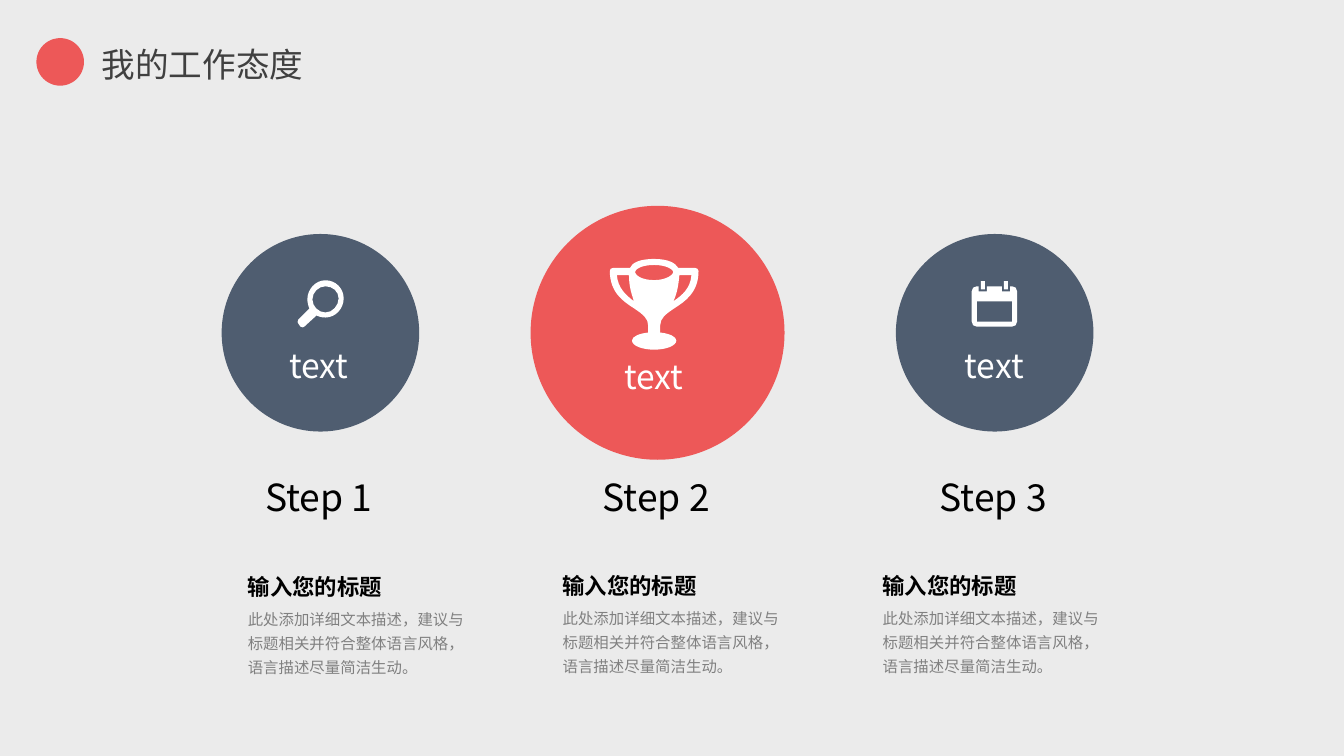
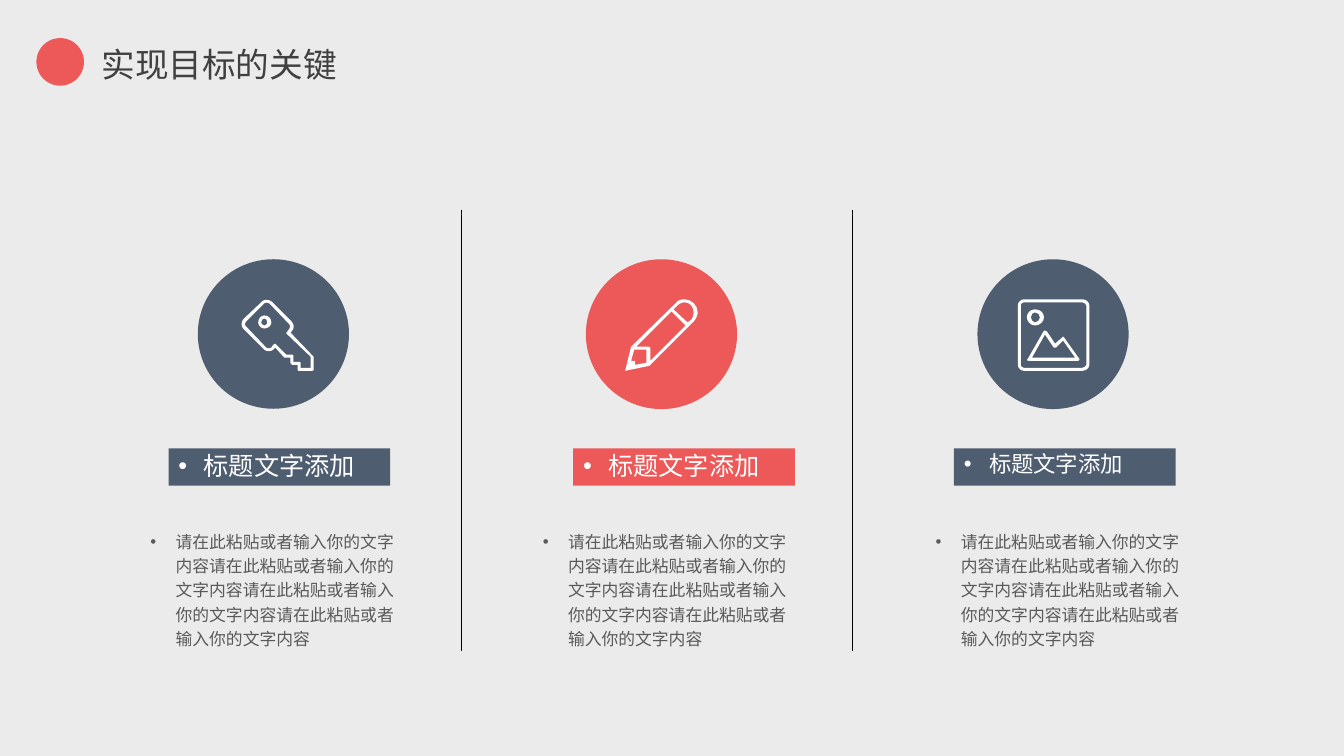
import pptx
import pptx.dml.color
import pptx.enum.shapes
import pptx.enum.text
import pptx.oxml.ns
import pptx.util
from dataclasses import dataclass
from lxml import etree

Pt = pptx.util.Pt
SHAPE = pptx.enum.shapes.MSO_SHAPE
ALIGN = pptx.enum.text.PP_ALIGN
ANCHOR = pptx.enum.text.MSO_ANCHOR
qn = pptx.oxml.ns.qn


@dataclass(frozen=True)
class Theme:
    font: str = "Noto Sans CJK SC"
    page: str = "EBEBEB"
    red: str = "ED5858"
    slate: str = "4F5D70"
    white: str = "FFFFFF"
    black: str = "000000"
    title: str = "404040"
    body: str = "595959"
    muted: str = "808080"
    title_size: float = 24
    step_size: float = 26.6
    heading_size: float = 16
    caption_size: float = 11
    body_size: float = 12
    icon_unit: float = 0.72


T = Theme()

# Icon outlines: M move, L lines, C curves, Z close.
MAGNIFIER = """M 1 43 C 3 46 3 46 3 46 5 47 6 47 7 46 L 19 35 C 21 36 24 37 28 37
 38 37 46 28 46 18 46 8 38 0 28 0 18 0 10 9 10 19 10 22 11 26 12 28
 L 1 39 C 0 41 0 42 1 43 Z
 M 28 32 C 21 32 15 26 15 19 15 12 21 6 28 6 35 6 41 11 41 18 41 25 35 32 28 32 Z"""
TROPHY = """M 50 66 C 50 59 55 55 64 49 75 42 88 33 88 12 88 10 86 9 85 9
 L 68 9 C 65 4 58 0 44 0 29 0 22 4 20 9 L 3 9 C 1 9 0 10 0 12
 0 33 13 42 24 49 33 55 38 59 38 66 L 38 73 C 29 74 22 77 22 81
 22 86 32 90 44 90 56 90 66 86 66 81 66 77 59 74 50 73 L 50 66 Z
 M 63 42 C 66 36 68 28 69 16 L 81 16 C 80 29 72 36 63 42 Z
 M 44 6 C 57 6 63 11 63 13 63 15 57 21 44 21 30 21 25 15 25 13
 25 11 30 6 44 6 Z M 7 16 L 19 16 C 19 28 22 36 24 42 16 36 8 29 7 16 Z"""
CALENDAR = """M 40 5 L 38 5 38 10 30 10 30 5 15 5 15 10 7 10 7 5 5 5
 C 2 5 0 7 0 10 L 0 40 C 0 43 2 45 5 45 L 40 45 C 43 45 45 43 45 40
 L 45 10 C 45 7 43 5 40 5 Z M 40 40 L 5 40 5 20 40 20 40 40 Z
 M 13 0 L 9 0 9 8 13 8 13 0 Z M 36 0 L 32 0 32 8 36 8 36 0 Z"""
KEY = """M 69 68 L 59 68 59 63 C 59 62 58 62 57 62 L 52 62 52 57 C 52 56 52 55 51 55
 L 45 55 35 45 C 34 45 34 44 34 44 33 44 33 45 32 45 L 30 48 C 29 49 26 49 25 48
 L 5 27 C 3 26 3 24 5 22 L 23 4 C 24 3 26 3 28 4 L 48 25 C 49 26 49 28 48 29
 L 46 32 C 45 32 45 33 45 33 45 34 45 34 45 34 L 69 57 C 69 57 69 68 69 68 Z
 M 71 56 L 49 33 50 32 C 53 29 53 25 50 22 L 30 2 C 27 0 23 0 21 2
 L 2 20 C 0 23 0 27 2 29 L 23 50 C 25 52 30 52 32 50 L 34 48 43 58
 C 43 58 44 58 44 58 L 49 58 49 63 C 49 64 50 65 51 65 L 56 65 56 70
 C 56 71 56 71 57 71 L 70 71 C 71 71 72 71 72 70 L 72 57 C 72 56 72 56 71 56 Z
 M 23 26 C 21 26 20 24 20 23 20 21 21 19 23 19 25 19 26 21 26 23 26 24 25 26 23 26 Z
 M 23 16 C 20 16 17 19 17 23 17 26 20 29 23 29 27 29 30 26 30 23 30 19 27 16 23 16 Z"""
PENCIL = """M 66 20 L 62 23 48 10 52 6 C 52 6 55 3 59 3 64 3 68 7 68 13 68 16 67 18 66 20 Z
 M 25 61 L 25 48 C 25 48 24 47 23 47 L 11 47 46 12 60 26 C 60 26 25 61 25 61 Z
 M 21 63 L 10 65 10 61 6 61 9 50 21 50 C 21 50 21 63 21 63 Z
 M 59 0 C 55 0 52 1 50 4 L 6 47 0 71 24 66 68 22 C 70 20 72 16 72 13
 72 6 66 0 59 0 Z"""
PHOTO = """M 68 65 C 68 66 66 68 64 68 L 6 68 C 4 68 3 66 3 65 L 3 6 C 3 5 4 3 6 3
 L 64 3 C 66 3 68 5 68 6 68 6 68 65 68 65 Z
 M 64 0 L 6 0 C 3 0 0 3 0 6 L 0 65 C 0 68 3 71 6 71 L 64 71
 C 68 71 71 68 71 65 L 71 6 C 71 3 68 0 64 0 Z
 M 14 58 L 27 35 35 47 C 35 48 36 48 36 48 36 48 36 48 37 48 37 48 38 48 38 48
 L 45 41 57 58 C 57 58 14 58 14 58 Z
 M 61 59 L 46 38 C 46 38 46 37 45 37 45 37 44 37 44 38 L 37 44 29 32
 C 28 31 28 31 27 31 27 31 26 31 26 31 L 10 59 C 9 59 9 59 9 60 9 61 10 61 11 61
 L 60 61 C 60 61 61 61 61 60 61 60 61 59 61 59 Z
 M 17 13 C 20 13 22 15 22 18 22 20 20 23 17 23 15 23 13 20 13 18 13 15 15 13 17 13 Z
 M 17 26 C 22 26 26 22 26 18 26 13 22 10 17 10 13 10 9 13 9 18 9 22 13 26 17 26 Z"""

STEP_TITLE = "我的工作态度"
STEP_LABELS = ["Step 1", "Step 2", "Step 3"]
BADGE_TEXT = "text"
HEADING = "输入您的标题"
CAPTION = "此处添加详细文本描述，建议与标题相关并符合整体语言风格，语言描述尽量简洁生动。"
# colour, diameter, icon, icon left and top, text left and top
BADGES = [
    (T.slate, 141.1, MAGNIFIER, (212.4, 200.2), (174.2, 242.6)),
    (T.red, 181.4, TROPHY, (435.6, 185), (413.3, 250.6)),
    (T.slate, 141.1, CALENDAR, (694.1, 200.9), (656.6, 242.6)),
]
CAPTIONS_AT = [(169.9, 406.1), (394.8, 405.4), (623.4, 405.4)]
STEP_LEFT, STEP_PITCH, STEP_WIDTH = 118.1, 240.8, 219.6
BADGE_CENTRE = (228.9, 237.7)

KEY_TITLE = "实现目标的关键"
BAR_TEXT = "标题文字添加"
BODY = "请在此粘贴或者输入你的文字内容" * 4
# colour, disc left, disc height, icon, icon left
DISCS = [
    (T.slate, 141.3, 106.8, KEY, 172.2),
    (T.red, 418.5, 107, PENCIL, 446.5),
    (T.slate, 698.2, 107, PHOTO, 727),
]
# colour, bar left, text size, body left
BARS = [
    (T.slate, 120.4, 18, 100.4),
    (T.red, 409.4, 18, 380.7),
    (T.slate, 681.4, 16, 661.3),
]
DIVIDERS = [329.8, 609.1]


def rgb(value):
    return pptx.dml.color.RGBColor.from_string(value)


def paint(sp, color):
    sp.shadow.inherit = False
    sp.fill.solid()
    sp.fill.fore_color.rgb = rgb(color)
    sp.line.fill.background()


def add_solid(s, kind, box, color):
    sp = s.shapes.add_shape(kind, *map(Pt, box))
    paint(sp, color)
    return sp


def write(sp, text, size, color, bold=None, align=ALIGN.LEFT, spacing=None,
          bullet=False, anchor=ANCHOR.TOP, wrap=True):
    tf = sp.text_frame
    tf.word_wrap = wrap
    tf.vertical_anchor = anchor
    p = tf.paragraphs[0]
    p.alignment = align
    if spacing:
        p.line_spacing = spacing
    if bullet:
        p.space_before = Pt(10)
        pPr = p._p.get_or_add_pPr()
        pPr.set("marL", str(Pt(18)))
        pPr.set("indent", str(-Pt(18)))
        etree.SubElement(pPr, qn("a:buFont")).set("typeface", "Arial")
        etree.SubElement(pPr, qn("a:buChar")).set("char", "•")
    r = p.add_run()
    r.text = text
    r.font.size = Pt(size)
    r.font.bold = bold
    r.font.color.rgb = rgb(color)
    r.font.name = T.font
    etree.SubElement(r._r.get_or_add_rPr(), qn("a:ea")).set("typeface", T.font)


def add_text(s, box, *args, **options):
    write(s.shapes.add_textbox(*map(Pt, box)), *args, **options)


def outline_steps(outline):
    """Split an outline into (command, points) steps."""
    steps = []
    for word in outline.split():
        if word.isalpha():
            steps.append((word, []))
        else:
            steps[-1][1].append(float(word))
    return [(command, list(zip(v[::2], v[1::2]))) for command, v in steps]


def bend(sp, kinds):
    """Merge each three segments marked C into one cubic curve."""
    outline = next(sp.element.iter(qn("a:path")))
    bent = [node for node, kind in zip(list(outline), kinds) if kind == "C"]
    for i in range(0, len(bent), 3):
        cubic = etree.Element(qn("a:cubicBezTo"))
        bent[i].addprevious(cubic)
        for node in bent[i:i + 3]:
            cubic.append(node[0])
            outline.remove(node)


def add_icon(s, outline, left, top):
    builder, kinds = None, []
    for command, points in outline_steps(outline):
        placed = [(Pt(left + x * T.icon_unit), Pt(top + y * T.icon_unit)) for x, y in points]
        kinds += [command] * max(1, len(placed))
        if builder is None:
            builder = s.shapes.build_freeform(*placed[0])
        elif command == "M":
            builder.move_to(*placed[0])
        else:
            builder.add_line_segments(placed, close=command == "Z")
    sp = builder.convert_to_shape()
    bend(sp, kinds)
    paint(sp, T.white)


def add_divider(s, x):
    line = s.shapes.add_connector(pptx.enum.shapes.MSO_CONNECTOR.STRAIGHT,
                                  Pt(x), Pt(149.8), Pt(x), Pt(465.1))
    line.line.color.rgb = rgb(T.black)
    line.line.width = Pt(1)
    etree.SubElement(line._element.spPr, qn("a:effectLst"))


def add_shared_look(prs, s):
    """Set the page colour and move the title dot to the layout."""
    fill = prs.slide_master.background.fill
    fill.solid()
    fill.fore_color.rgb = rgb(T.page)
    dot = add_solid(s, SHAPE.FLOWCHART_CONNECTOR, (26, 27.2, 34, 34), T.red)
    dot.element.nvSpPr.cNvPr.set("id", "20")
    s.slide_layout.shapes.element.append(dot.element)


def add_titled_slide(prs, title, width):
    s = prs.slides.add_slide(prs.slide_layouts[6])
    add_text(s, (65.5, 28.1, width, 36), title, T.title_size, T.title, wrap=False)
    return s


def build_steps(prs):
    s = add_titled_slide(prs, STEP_TITLE, 159.8)
    for i, label in enumerate(STEP_LABELS):
        add_text(s, (STEP_LEFT + i * STEP_PITCH, 334.8, STEP_WIDTH, 39.6), label,
                 T.step_size, T.black, align=ALIGN.CENTER, anchor=ANCHOR.MIDDLE)
    for i, (color, size, icon, icon_at, text_at) in enumerate(BADGES):
        badge = s.shapes.add_group_shape()
        x, y = BADGE_CENTRE
        add_solid(badge, SHAPE.OVAL,
                  (x + i * STEP_PITCH - size / 2, y - size / 2, size, size), color)
        add_icon(badge, icon, *icon_at)
        add_text(badge, (*text_at, 107.3, 36), BADGE_TEXT, T.title_size, T.white,
                 align=ALIGN.CENTER)
    for x, y in CAPTIONS_AT:
        block = s.shapes.add_group_shape()
        add_text(block, (x, y, 123.8, 26.6), HEADING, T.heading_size, T.black, bold=True)
        add_text(block, (x, y + 22.3, 174.2, 59), CAPTION, T.caption_size, T.muted, spacing=1.3)
    return s


def build_keys(prs):
    s = add_titled_slide(prs, KEY_TITLE, 184.3)
    for x in DIVIDERS:
        add_divider(s, x)
    for color, x, height, icon, icon_x in DISCS:
        badge = s.shapes.add_group_shape()
        add_solid(badge, SHAPE.OVAL, (x, 185.2, 108, height), color)
        add_icon(badge, icon, icon_x, 213.8)
    for color, x, size, body_x in BARS:
        bar = add_solid(s, SHAPE.RECTANGLE, (x, 320.3, 158.4, 26.6), color)
        write(bar, BAR_TEXT, size, T.white, spacing=0.9, bullet=True)
        add_text(s, (body_x, 373.5, 198.7, 44.6), BODY, T.body_size, T.body,
                 spacing=1.2, bullet=True)


def main():
    prs = pptx.Presentation()
    prs.slide_width, prs.slide_height = Pt(960), Pt(540)
    add_shared_look(prs, build_steps(prs))
    build_keys(prs)
    prs.save("out.pptx")


if __name__ == "__main__":
    main()
